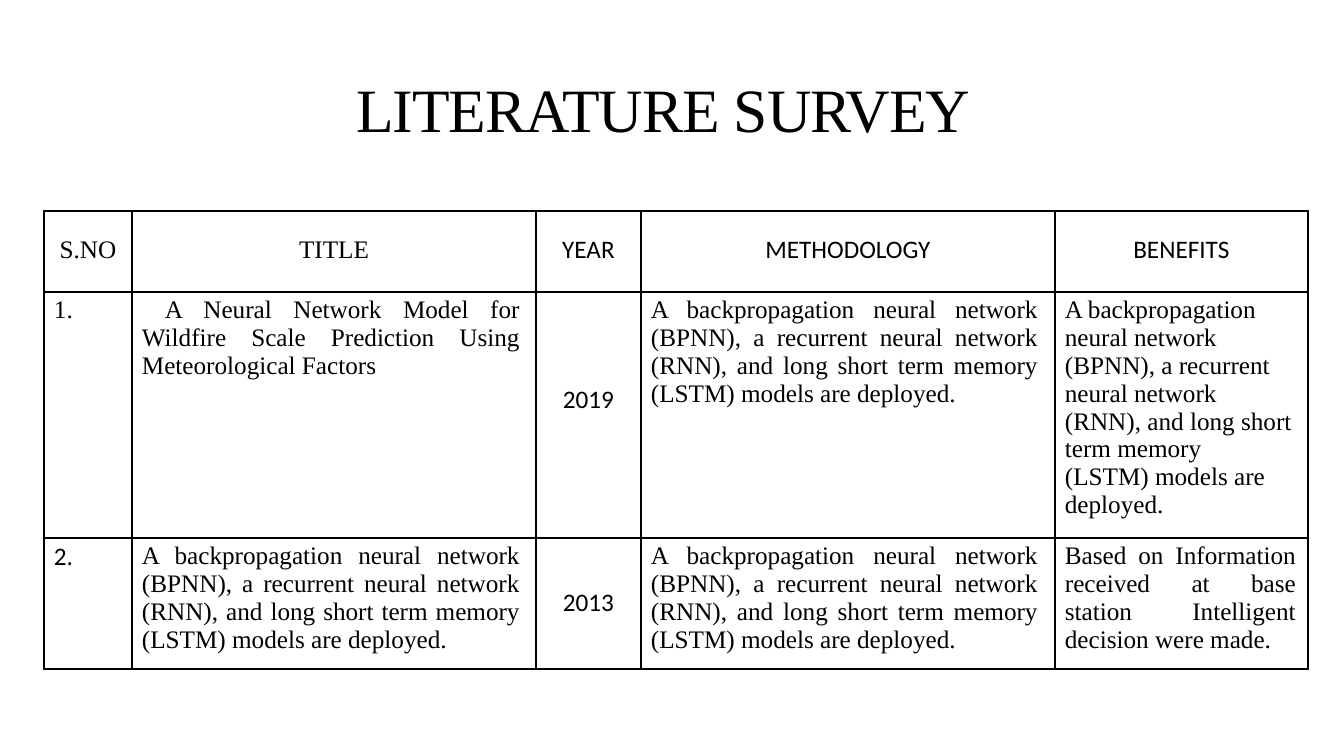
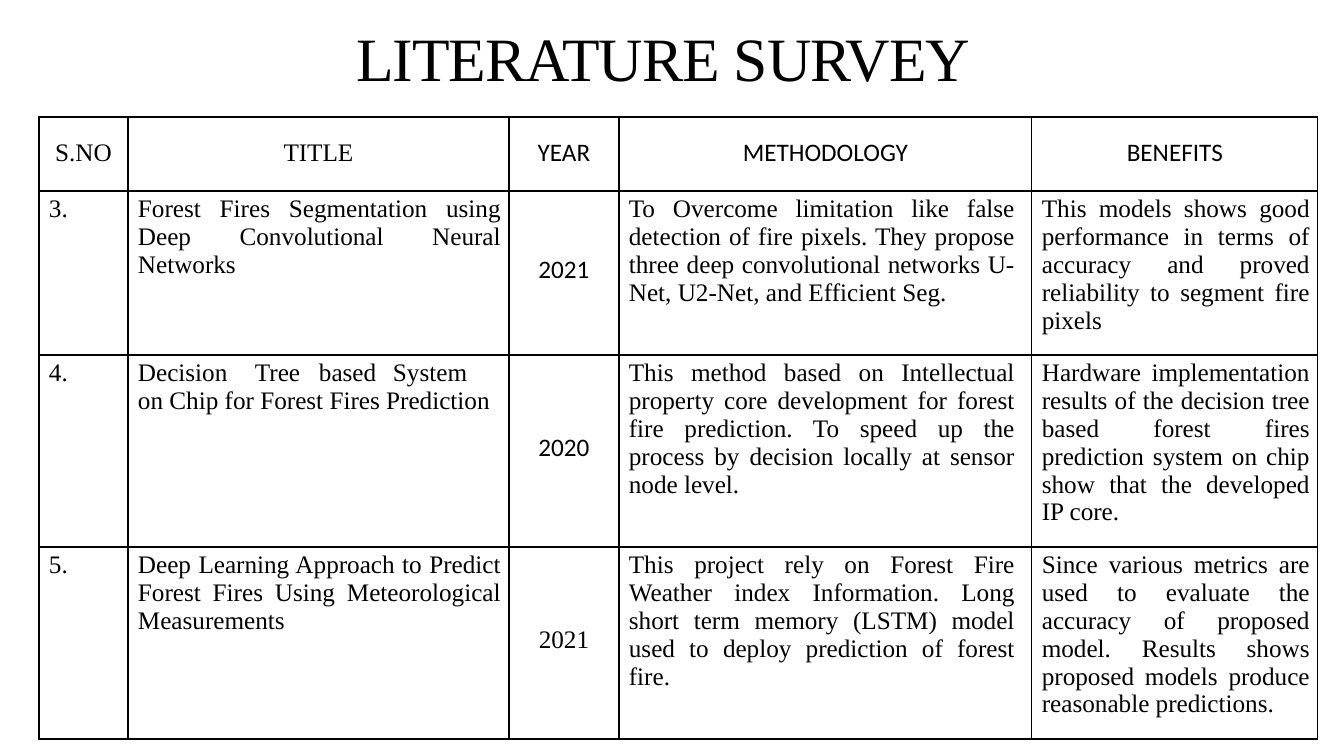
from dataclasses import dataclass

from lxml import etree
from pptx import Presentation
from pptx.dml.color import RGBColor
from pptx.enum.text import MSO_ANCHOR, MSO_AUTO_SIZE, PP_ALIGN
from pptx.oxml.ns import qn
from pptx.util import Emu, Pt

LEFT, CENTER, JUSTIFY = PP_ALIGN.LEFT, PP_ALIGN.CENTER, PP_ALIGN.JUSTIFY
TOP, MIDDLE = MSO_ANCHOR.TOP, MSO_ANCHOR.MIDDLE
SERIF, SANS = "Times New Roman", "Calibri"
BLACK, WHITE = "000000", "FFFFFF"
PAGE_WIDTH, PAGE_HEIGHT = 1344, 756
TITLE_ONLY = 5
HEADERS = [("S.NO", SERIF), ("TITLE", SERIF), ("YEAR", SANS),
           ("METHODOLOGY", SANS), ("BENEFITS", SANS)]
MODELS = ("A backpropagation neural network (BPNN), a recurrent neural network "
          "(RNN), and long short term memory (LSTM) models are deployed.")


@dataclass
class Paper:
    number: str
    title: str
    year: str
    methodology: str
    benefits: str
    number_font: str = SERIF
    year_font: str = SANS
    year_lift: int = 6
    title_indent: int = 0
    title_tabs: tuple = ()
    benefits_align: PP_ALIGN = JUSTIFY


@dataclass
class Survey:
    title_top: int
    left: int
    top: int
    widths: list
    heights: list
    title_gap: int
    benefits_gap: int
    papers: list


SURVEYS = [
    Survey(68, 44, 211, [88, 404, 105, 414, 253], [81, 246, 131], 16, 12, [
        Paper("1.", "A Neural Network Model for Wildfire Scale Prediction Using "
              "Meteorological Factors", "2019", MODELS,
              MODELS.replace(" (LSTM)", "\v(LSTM)"),
              year_lift=30, title_indent=23, benefits_align=LEFT),
        Paper("2.", MODELS, "2013", MODELS,
              "Based on Information received at base station Intelligent "
              "decision were made.", number_font=SANS, year_lift=2),
    ]),
    Survey(17, 39, 117, [89, 381, 110, 413, 286], [74, 164, 192, 192], 8, 8, [
        Paper("3.", "Forest Fires Segmentation using Deep Convolutional Neural "
              "Networks", "2021",
              "To Overcome limitation like false detection of fire pixels. They "
              "propose three deep convolutional networks U-Net, U2-Net, and "
              "Efficient Seg.",
              "This models shows good performance in terms of accuracy and "
              "proved reliability to segment fire pixels"),
        Paper("4.", "Decision\tTree\tbased\tSystem\von Chip for Forest Fires "
              "Prediction", "2020",
              "This method based on Intellectual property core development for "
              "forest fire prediction. To speed up the process by decision "
              "locally at sensor node level.",
              "Hardware implementation results of the decision tree based forest "
              "fires prediction system on chip show that the developed IP core.",
              title_tabs=(117, 181, 255)),
        Paper("5.", "Deep Learning Approach to Predict Forest Fires Using "
              "Meteorological Measurements", "2021",
              "This project rely on Forest Fire Weather index Information. Long "
              "short term memory (LSTM) model used to deploy prediction of "
              "forest fire.",
              "Since various metrics are used to evaluate the accuracy of "
              "proposed model. Results shows proposed models produce reasonable "
              "predictions.", year_font=SERIF),
    ]),
]


def px(length):
    return Emu(round(length * 12192000 / PAGE_WIDTH))


def color(value):
    return RGBColor.from_string(value)


def style(para, font, size, align):
    para.alignment = align
    para.font.name = font
    para.font.size = Pt(size)
    para.font.color.rgb = color(BLACK)


def set_margins(area, left=0, top=0, right=0, bottom=0):
    area.margin_left, area.margin_top = px(left), px(top)
    area.margin_right, area.margin_bottom = px(right), px(bottom)


def add_borders(cell):
    properties = cell._tc.get_or_add_tcPr()
    for position, side in enumerate(("a:lnL", "a:lnR", "a:lnT", "a:lnB")):
        line = etree.Element(qn(side), w=str(Pt(1)))
        fill = etree.SubElement(line, qn("a:solidFill"))
        etree.SubElement(fill, qn("a:srgbClr"), val=BLACK)
        properties.insert(position, line)


def add_tabs(para, stops):
    properties = para._p.get_or_add_pPr()
    tabs = etree.Element(qn("a:tabLst"))
    for stop in stops:
        etree.SubElement(tabs, qn("a:tab"), pos=str(px(stop)), algn="l")
    properties.insert(0, tabs)


def fill_cell(cell, text, font=SERIF, align=LEFT, anchor=TOP, **margins):
    cell.fill.solid()
    cell.fill.fore_color.rgb = color(WHITE)
    add_borders(cell)
    set_margins(cell, **margins)
    cell.vertical_anchor = anchor
    para = cell.text_frame.paragraphs[0]
    para.text = text
    style(para, font, 18, align)
    return para


def add_title(page, top):
    title = page.shapes.title
    title.left, title.top = px(356), px(top)
    title.width, title.height = px(634), px(78)
    frame = title.text_frame
    frame.text = "LITERATURE SURVEY"
    frame.auto_size = MSO_AUTO_SIZE.NONE
    frame.vertical_anchor = MIDDLE
    set_margins(frame, top=2)
    para = frame.paragraphs[0]
    style(para, SERIF, 44, LEFT)
    para.runs[0]._r.get_or_add_rPr().set("spc", "-70")


def fill_paper(cells, paper, survey):
    number, title, year, methodology, benefits = cells
    body = {"left": 10, "top": 4}
    fill_cell(number, paper.number, paper.number_font, **body)
    title_align = LEFT if paper.title_tabs else JUSTIFY
    para = fill_cell(title, paper.title, align=title_align,
                     right=survey.title_gap, **body)
    if paper.title_indent:
        para._p.get_or_add_pPr().set("indent", str(px(paper.title_indent)))
    if paper.title_tabs:
        add_tabs(para, paper.title_tabs)
    fill_cell(year, paper.year, paper.year_font, CENTER, MIDDLE,
              bottom=paper.year_lift)
    fill_cell(methodology, paper.methodology, align=JUSTIFY, right=17, **body)
    fill_cell(benefits, paper.benefits, align=paper.benefits_align,
              right=survey.benefits_gap, **body)


def add_survey_table(page, survey):
    table = page.shapes.add_table(
        len(survey.heights), len(survey.widths), px(survey.left), px(survey.top),
        px(sum(survey.widths)), px(sum(survey.heights))).table
    table.first_row = table.horz_banding = False
    for column, width in zip(table.columns, survey.widths):
        column.width = px(width)
    for row, height in zip(table.rows, survey.heights):
        row.height = px(height)
    for cell, (text, font) in zip(table.rows[0].cells, HEADERS):
        fill_cell(cell, text, font, CENTER, MIDDLE, bottom=3)
    for index, paper in enumerate(survey.papers, 1):
        fill_paper(table.rows[index].cells, paper, survey)


def main():
    deck = Presentation()
    deck.slide_width, deck.slide_height = px(PAGE_WIDTH), px(PAGE_HEIGHT)
    for survey in SURVEYS:
        page = deck.slides.add_slide(deck.slide_layouts[TITLE_ONLY])
        add_title(page, survey.title_top)
        add_survey_table(page, survey)
    deck.save("out.pptx")


if __name__ == "__main__":
    main()
